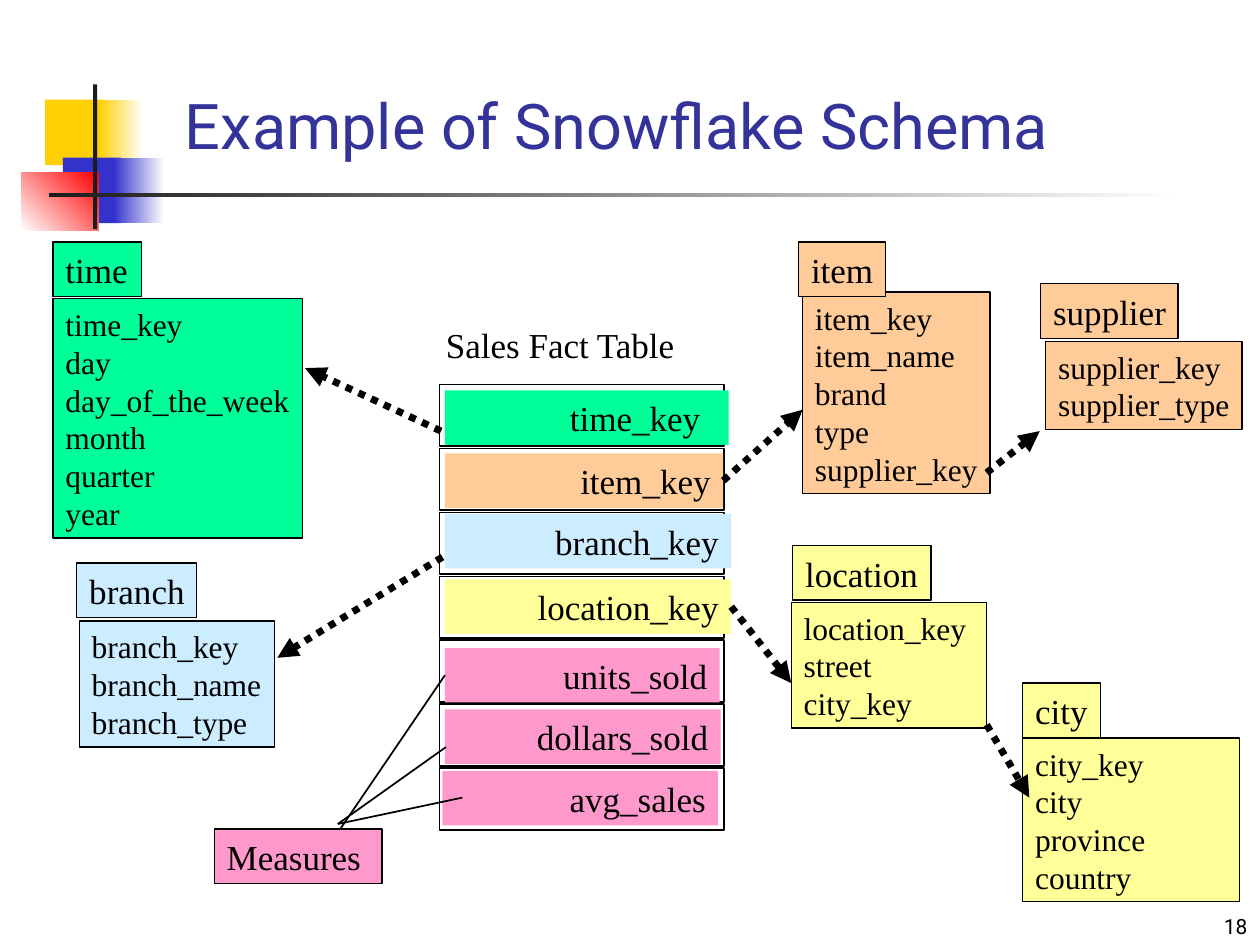
import pptx
import pptx.dml.color
import pptx.enum.dml
import pptx.enum.shapes
import pptx.enum.text
import pptx.oxml.ns
import pptx.util
import lxml.etree

Cm = pptx.util.Cm
Pt = pptx.util.Pt
RGB = pptx.dml.color.RGBColor.from_string
ALIGN = pptx.enum.text.PP_ALIGN
ANCHOR = pptx.enum.text.MSO_ANCHOR
SERIF = "Times New Roman"

COLORS = {
    "black": "000000", "white": "FFFFFF", "ink": "1C1C1C", "title": "333399",
    "gold": "FFCF01", "blue": "3333CC", "red": "FF0000",
    "green": "00FF99", "orange": "FFCC99", "sky": "CCECFF",
    "yellow": "FFFF99", "pink": "FF99CC",
}

prs = pptx.Presentation()
prs.slide_width, prs.slide_height = Cm(25.4), Cm(19.05)
s = prs.slides.add_slide(prs.slide_layouts[6])


def add_box(x, y, w, h, fill=None, line=None, fade=None, angle=0):
    """Rectangle with a plain fill, a gradient from fill to fade, or none."""
    sp = s.shapes.add_shape(pptx.enum.shapes.MSO_SHAPE.RECTANGLE, Cm(x), Cm(y), Cm(w), Cm(h))
    sp.shadow.inherit = False
    if fade:
        sp.fill.gradient()
        sp.fill.gradient_angle = angle
        for stop, name, pos in zip(sp.fill.gradient_stops, (fill, fade), (0, 1)):
            stop.color.rgb = RGB(COLORS[name])
            stop.position = pos
    elif fill:
        sp.fill.solid()
        sp.fill.fore_color.rgb = RGB(COLORS[fill])
    else:
        sp.fill.background()
    if line:
        sp.line.color.rgb = RGB(COLORS["black"])
        sp.line.width = Pt(line)
    else:
        sp.line.fill.background()
    return sp


def set_text(sp, text, size, font=SERIF, color="black", align=ALIGN.LEFT,
             anchor=ANCHOR.TOP, right=0):
    tf = sp.text_frame
    tf.text = text
    tf.word_wrap = True
    tf.vertical_anchor = anchor
    tf.margin_left, tf.margin_right = Cm(0.25), Cm(right)
    tf.margin_top = tf.margin_bottom = Cm(0.13)
    for p in tf.paragraphs:
        p.alignment = align
        for r in p.runs:
            r.font.name = font
            r.font.size = Pt(size)
            r.font.color.rgb = RGB(COLORS[color])


# Corner decoration and rule under the title
add_box(0.91, 2.01, 1.22, 1.32, "gold")
add_box(1.98, 2.01, 0.91, 1.32, "gold", fade="white")
add_box(1.27, 3.18, 1.17, 1.32, "blue")
add_box(2.29, 3.18, 1.02, 1.32, "blue", fade="white")
add_box(0.43, 3.48, 1.55, 1.17, "white", fade="red", angle=45)
add_box(1.88, 1.7, 0.08, 2.92, "ink")
add_box(0.99, 3.89, 22.86, 0.08, "ink", fade="white")

# Title, caption and slide number
sp = s.shapes.add_textbox(Cm(3.48), Cm(2.18), Cm(20.07), Cm(1.22))
set_text(sp, "Example of Snowflake Schema", 36, "Roboto", "title", anchor=ANCHOR.BOTTOM)
sp = s.shapes.add_textbox(Cm(8.74), Cm(6.4), Cm(5.18), Cm(1.1))
set_text(sp, "Sales Fact Table", 20)
sp = s.shapes.add_textbox(Cm(20.12), Cm(17.78), Cm(5.28), Cm(1.27))
set_text(sp, "18", 12, "Roboto", align=ALIGN.RIGHT, anchor=ANCHOR.BOTTOM, right=0.25)

# Fact table: name, colour, bar left, top, width, right inset
fact_rows = [
    ("time_key", "green", 8.97, 7.87, 5.72, 0.57),
    ("item_key", "orange", 8.97, 9.14, 5.61, 0.25),
    ("branch_key", "sky", 8.97, 10.36, 5.77, 0.25),
    ("location_key", "yellow", 8.97, 11.68, 5.77, 0.25),
    ("units_sold", "pink", 8.97, 13.06, 5.54, 0.25),
    ("dollars_sold", "pink", 8.97, 14.3, 5.56, 0.25),
    ("avg_sales", "pink", 8.92, 15.54, 5.56, 0.25),
]
bars = {}
for i, (name, color, x, y, w, right) in enumerate(fact_rows):
    add_box(8.86, 7.75 + i * 1.29, 5.74, 1.24, line=1)
    bars[name] = add_box(x, y, w, 1.1, color)
    set_text(bars[name], name, 20, align=ALIGN.RIGHT, right=right)

# Dimension tables: name, colour, heading (x, y, w), body (x, y, w, h), fields
dimensions = [
    ("time", "green", (1.07, 4.88, 1.78), (1.07, 6.02, 5.03, 4.83),
     ["time_key", "day", "day_of_the_week", "month", "quarter", "year"]),
    ("item", "orange", (16.1, 4.88, 1.75), (16.18, 5.89, 3.78, 4.06),
     ["item_key", "item_name", "brand", "type", "supplier_key"]),
    ("supplier", "orange", (20.98, 5.72, 2.77), (21.08, 6.88, 3.96, 1.78),
     ["supplier_key", "supplier_type"]),
    ("branch", "sky", (1.55, 11.35, 2.41), (1.6, 12.52, 3.94, 2.54),
     ["branch_key", "branch_name", "branch_type"]),
    ("location", "yellow", (15.98, 11, 2.79), (15.95, 12.14, 3.94, 2.54),
     ["location_key", "street", "city_key"]),
    ("city", "yellow", (20.62, 13.77, 1.57), (20.62, 14.88, 4.37, 3.3),
     ["city_key", "city", "province", "country"]),
]
for name, color, head, body, fields in dimensions:
    set_text(add_box(*body, color, 0.75), "\n".join(fields), 18)
    set_text(add_box(*head, 1.1, color, 0.75), name, 20)

# Measures label
set_text(add_box(4.32, 16.71, 3.38, 1.1, "pink", 0.75), "Measures", 20)

# Lines: start, end, dotted arrow, bar joined at start, bar joined at end
links = [
    ((6.86, 16.71), (8.97, 13.61), False, None, "units_sold"),
    ((6.81, 16.61), (8.99, 15.06), False, None, None),
    ((6.81, 16.61), (9.32, 16.08), False, None, None),
    ((8.92, 11.23), (5.59, 13.26), True, None, None),
    ((8.89, 8.69), (6.15, 7.42), True, None, None),
    ((14.74, 12.23), (15.95, 13.77), True, "location_key", None),
    ((14.58, 9.69), (16.18, 8.26), True, "item_key", None),
    ((19.89, 9.53), (20.96, 8.69), True, None, None),
    ((19.89, 14.61), (20.75, 16.08), True, None, None),
]
qn = pptx.oxml.ns.qn
for (x1, y1), (x2, y2), arrow, begin, end in links:
    cx = s.shapes.add_connector(pptx.enum.shapes.MSO_CONNECTOR.STRAIGHT,
                                Cm(x1), Cm(y1), Cm(x2), Cm(y2))
    if begin:
        cx.begin_connect(bars[begin], 3)
    if end:
        cx.end_connect(bars[end], 1)
    cx.line.color.rgb = RGB(COLORS["black"])
    cx.line.width = Pt(4 if arrow else 1)
    if arrow:
        cx.line.dash_style = pptx.enum.dml.MSO_LINE.ROUND_DOT
        ln = cx.line._get_or_add_ln()
        lxml.etree.SubElement(ln, qn("a:tailEnd"), type="triangle")
    lxml.etree.SubElement(cx._element.spPr, qn("a:effectLst"))

prs.save("out.pptx")
